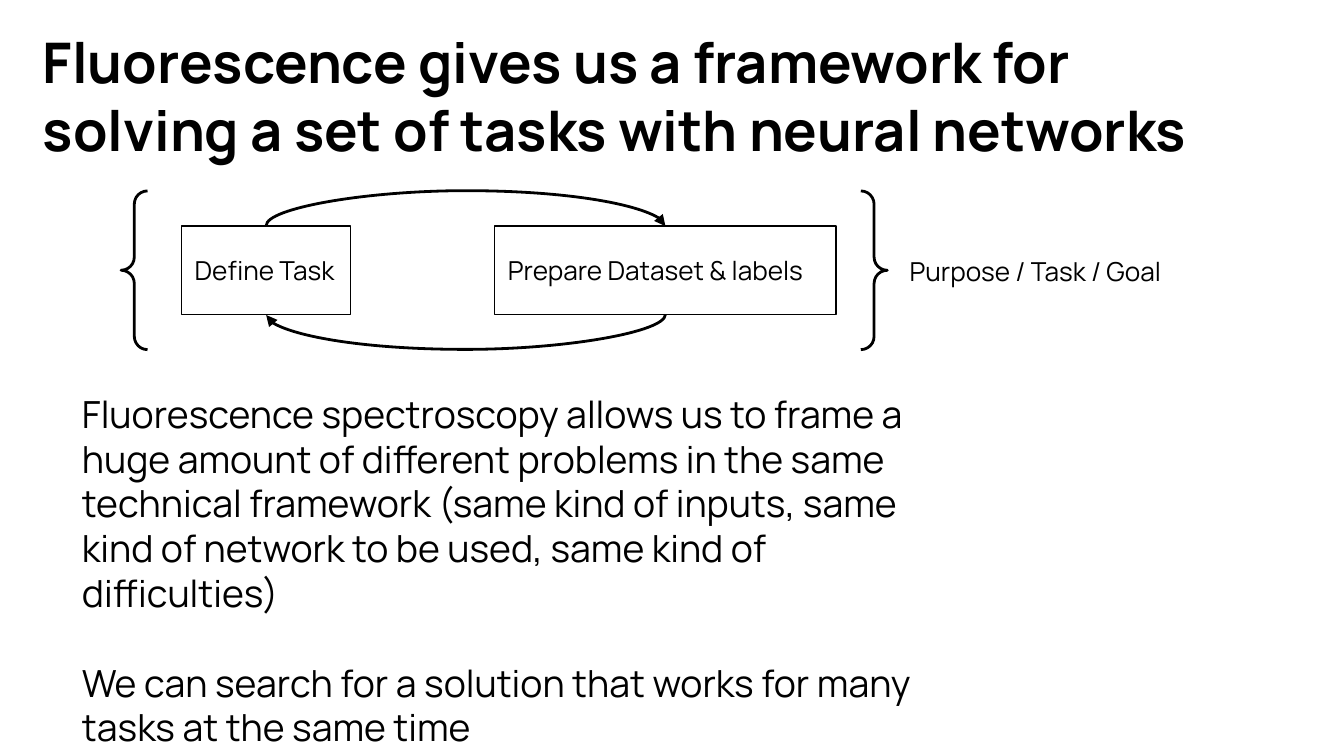
import dataclasses

import lxml.etree
import pptx
import pptx.dml.color
import pptx.enum.shapes
import pptx.enum.text
import pptx.oxml.ns
import pptx.util

Cm = pptx.util.Cm
Pt = pptx.util.Pt
qn = pptx.oxml.ns.qn


@dataclasses.dataclass(frozen=True)
class Theme:
    font: str = "Manrope"
    ink: pptx.dml.color.RGBColor = pptx.dml.color.RGBColor(0, 0, 0)
    paper: pptx.dml.color.RGBColor = pptx.dml.color.RGBColor(255, 255, 255)
    title_size: float = 30
    body_size: float = 20
    label_size: float = 14
    body_gap: float = 24
    thin: float = 0.75
    thick: float = 1.5
    inset: float = 0.25


class SlideBuilder:
    def __init__(self, slide, theme):
        self.slide = slide
        self.theme = theme

    def fill_text(self, shape, paragraphs, size, bold=False, gap=0):
        frame = shape.text_frame
        frame.word_wrap = True
        frame.margin_left = frame.margin_right = Cm(self.theme.inset)
        frame.margin_top = frame.margin_bottom = Cm(self.theme.inset)
        for index, text in enumerate(paragraphs):
            paragraph = frame.paragraphs[0] if index == 0 else frame.add_paragraph()
            paragraph.alignment = pptx.enum.text.PP_ALIGN.LEFT
            if index:
                paragraph.space_before = Pt(gap)
            run = paragraph.add_run()
            run.text = text
            run.font.name = self.theme.font
            run.font.size = Pt(size)
            run.font.bold = bold
            run.font.color.rgb = self.theme.ink

    def text(self, left, top, width, height, paragraphs, size, **style):
        box = self.slide.shapes.add_textbox(Cm(left), Cm(top), Cm(width), Cm(height))
        self.fill_text(box, paragraphs, size, **style)

    def outline(self, kind, left, top, width, height, weight):
        shape = self.slide.shapes.add_shape(
            kind, Cm(left), Cm(top), Cm(width), Cm(height))
        shape.shadow.inherit = False
        shape.fill.background()
        shape.line.color.rgb = self.theme.ink
        shape.line.width = Pt(weight)
        return shape

    def braces(self, left, top, width, height):
        self.outline(pptx.enum.shapes.MSO_SHAPE.DOUBLE_BRACE,
                     left, top, width, height, self.theme.thick)

    def step(self, left, top, width, height, label):
        box = self.outline(pptx.enum.shapes.MSO_SHAPE.RECTANGLE,
                           left, top, width, height, self.theme.thin)
        box.fill.solid()
        box.fill.fore_color.rgb = self.theme.paper
        box.text_frame.vertical_anchor = pptx.enum.text.MSO_ANCHOR.MIDDLE
        self.fill_text(box, [label], self.theme.label_size)
        return box

    def arc(self, source, target, site, bulge):
        """Curved arrow between the same side (0 top, 2 bottom) of two boxes."""
        arrow = self.slide.shapes.add_connector(
            pptx.enum.shapes.MSO_CONNECTOR.CURVE, 0, 0, 0, 0)
        arrow.begin_connect(source, site)
        arrow.end_connect(target, site)
        arrow.line.color.rgb = self.theme.ink
        arrow.line.width = Pt(self.theme.thick)

        # The preset runs vertically, so a thin upright frame is turned sideways
        # and its adjustment pushes the curve out by the bulge.
        over = site == 0
        start = source.left + source.width // 2
        end = target.left + target.width // 2
        side = source.top if over else source.top + source.height
        thickness, span = Cm(0.01), abs(end - start)
        arrow.left = (start + end - thickness) // 2
        arrow.top = side - span // 2
        arrow.width, arrow.height = thickness, span

        properties = arrow.element.spPr
        frame = properties.find(qn("a:xfrm"))
        for flip in ("flipH", "flipV"):
            frame.attrib.pop(flip, None)
        frame.set("rot", str((270 if over else 90) * 60000))
        if over:
            frame.set("flipH", "1")
        adjust = round(Cm(bulge) / thickness * 100000) * (-1 if over else 1)
        guides = properties.find(qn("a:prstGeom")).find(qn("a:avLst"))
        lxml.etree.SubElement(guides, qn("a:gd"), name="adj1", fmla=f"val {adjust}")
        lxml.etree.SubElement(properties.find(qn("a:ln")), qn("a:tailEnd"),
                              type="triangle")
        lxml.etree.SubElement(properties, qn("a:effectLst"))


def main():
    theme = Theme()
    deck = pptx.Presentation()
    deck.slide_width, deck.slide_height = Cm(25.4), Cm(14.29)
    page = SlideBuilder(deck.slides.add_slide(deck.slide_layouts[6]), theme)

    page.braces(2.29, 3.61, 14.48, 3)
    step_top, step_height = 4.27, 1.68
    define_task = page.step(3.43, step_top, 3.2, step_height, "Define Task")
    prepare_data = page.step(9.35, step_top, 6.45, step_height,
                             "Prepare Dataset & labels")
    page.arc(define_task, prepare_data, site=0, bulge=0.66)
    page.arc(prepare_data, define_task, site=2, bulge=0.66)

    page.text(16.94, 4.57, 7.09, 1.09, ["Purpose / Task / Goal"], theme.label_size)
    page.text(1.3, 7.14, 17.25, 6.45, [
        "Fluorescence spectroscopy allows us to frame a huge amount of different "
        "problems in the same technical framework (same kind of inputs, same kind "
        "of network to be used, same kind of difficulties)",
        "We can search for a solution that works for many tasks at the same time",
    ], theme.body_size, gap=theme.body_gap)
    page.text(0.56, 0.28, 23.67, 1.78, [
        "Fluorescence gives us a framework for solving a set of tasks "
        "with neural networks",
    ], theme.title_size, bold=True)

    deck.save("out.pptx")


if __name__ == "__main__":
    main()
